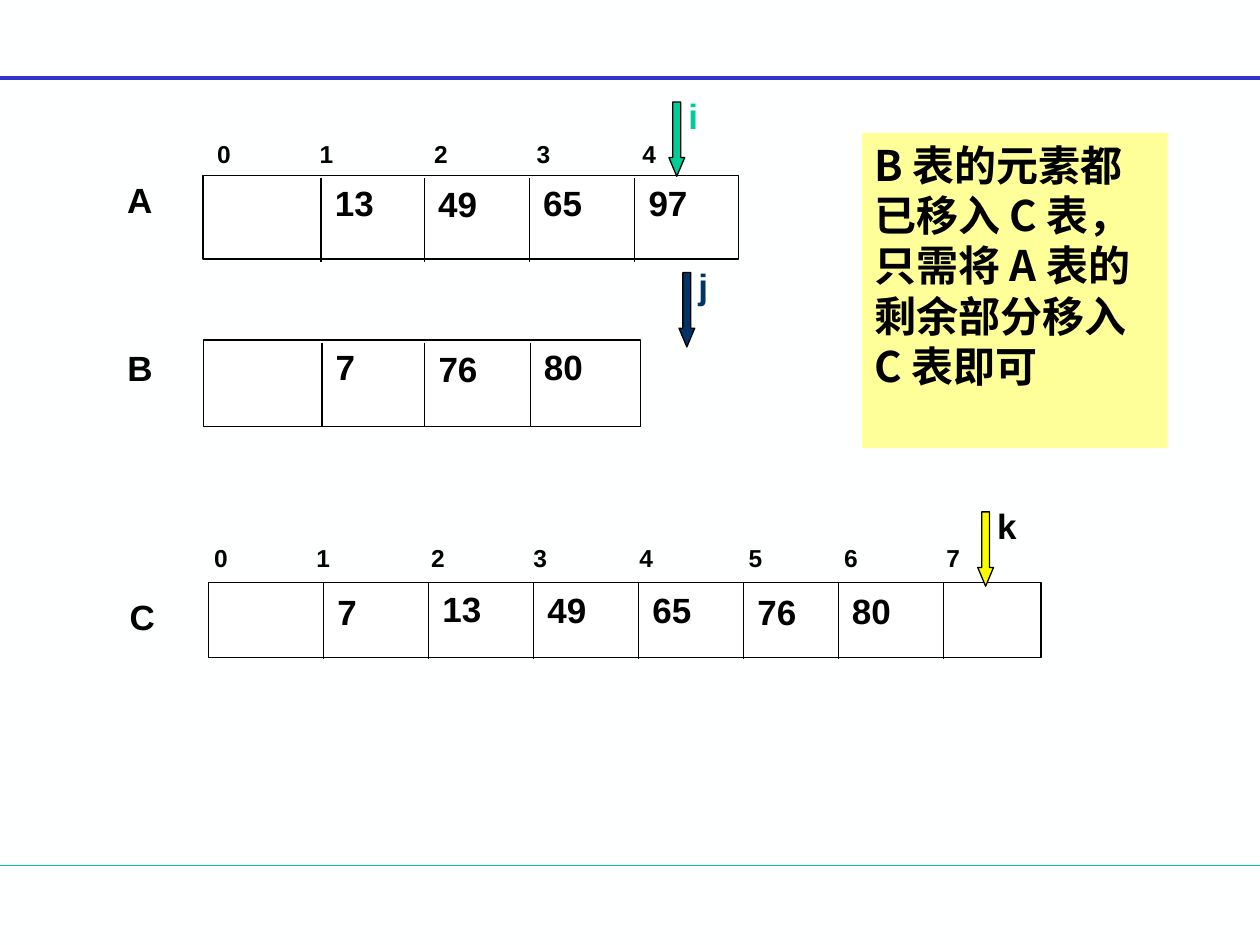
from lxml import etree
from pptx import Presentation
from pptx.dml.color import RGBColor
from pptx.enum import shapes, text
from pptx.oxml.ns import qn
from pptx.util import Pt

BLACK = RGBColor(0, 0, 0)
WHITE = RGBColor(0xFF, 0xFF, 0xFF)
BACKGROUND = RGBColor(0xFE, 0xFF, 0xFF)
GREEN = RGBColor(0x00, 0xCC, 0x99)
BLUE = RGBColor(0x33, 0x33, 0xCC)
NAVY = RGBColor(0x00, 0x33, 0x66)
YELLOW = RGBColor(0xFA, 0xFD, 0x00)
PALE_YELLOW = RGBColor(0xFF, 0xFF, 0x99)

deck = Presentation()
deck.slide_width, deck.slide_height = Pt(720), Pt(540)
page = deck.slides.add_slide(deck.slide_layouts[6])
page.background.fill.solid()
page.background.fill.fore_color.rgb = BACKGROUND


def add_line(x1, y1, x2, y2, color=BLACK, width=0.75):
    line = page.shapes.add_connector(
        shapes.MSO_CONNECTOR.STRAIGHT, Pt(x1), Pt(y1), Pt(x2), Pt(y2))
    line.line.color.rgb = color
    line.line.width = Pt(width)
    etree.SubElement(line._element.spPr, qn("a:effectLst"))


def add_label(parent, words, left, top, width=48, height=32, size=20, color=BLACK):
    box = parent.add_textbox(Pt(left), Pt(top), Pt(width), Pt(height))
    box.text_frame.word_wrap = True
    para = box.text_frame.paragraphs[0]
    span = para.add_run()
    span.text = words
    span.font.name, span.font.size, span.font.bold = "Arial", Pt(size), True
    span.font.color.rgb = color
    return para


# Rules across the page
add_line(0, 494.5, 720, 494.5, GREEN)
add_line(0, 44.5, 720, 44.5, BLUE, 2.25)

# Arrays: name, name position, frame, divider span, cells as (divider, value, top)
arrays = [
    ("A", (65.5, 98.5), (116, 100.5, 306, 47.5), (101.5, 149.5),
     [(183.5, "13", 100), (242.5, "49", 101), (302.5, "65", 100), (362.75, "97", 100)]),
    ("B", (65.75, 194.25), (116.25, 194.25, 249.75, 49.5), (196, 243.5),
     [(184, "7", 194), (242.75, "76", 195), (303, "80", 194)]),
    ("C", (67, 337), (119, 332.75, 476, 43), (332.75, 376.5),
     [(185, "7", 334), (245, "13", 332), (305, "49", 333), (365, "65", 333),
      (425, "76", 334), (479, "80", 333.5), (539, "", 333)]),
]
for name, name_at, frame, (top, bottom), cells in arrays:
    strip = page.shapes.add_shape(
        shapes.MSO_SHAPE.RECTANGLE, *[Pt(length) for length in frame])
    strip.shadow.inherit = False
    strip.fill.solid()
    strip.fill.fore_color.rgb = WHITE
    strip.line.color.rgb = BLACK
    strip.line.width = Pt(0.75)
    add_label(page.shapes, name, *name_at)
    for divider, value, value_top in cells:
        add_line(divider, top, divider, bottom)
        if value:
            add_label(page.shapes, value, divider + 0.75, value_top)

# Index numbers, set on tab stops
index_stops = [58.5, 124, 182.5, 243, 305.5, 360, 418.5]
for left, top, width, last in [(117, 75.75, 306, 4), (115.25, 307, 480, 7)]:
    numbers = "\t".join(str(index) for index in range(last + 1))
    para = add_label(page.shapes, numbers, left, top, width, 24.5, 14)
    tabs = etree.SubElement(para._p.get_or_add_pPr(), qn("a:tabLst"))
    for stop in index_stops[:last]:
        etree.SubElement(tabs, qn("a:tab"), pos=str(Pt(stop)), algn="l")

# Pointers: letter, arrow left and top, arrow colour, letter colour
pointers = [
    ("i", 382.25, 58.25, GREEN, GREEN),
    ("j", 388, 155.75, NAVY, NAVY),
    ("k", 558.75, 292.5, YELLOW, BLACK),
]
for letter, left, top, arrow_color, letter_color in pointers:
    pointer = page.shapes.add_group_shape()
    arrow = pointer.shapes.add_shape(
        shapes.MSO_SHAPE.DOWN_ARROW, Pt(left), Pt(top), Pt(9), Pt(42.5))
    arrow.adjustments[0], arrow.adjustments[1] = 0.5, 1.19
    arrow.shadow.inherit = False
    arrow.fill.solid()
    arrow.fill.fore_color.rgb = arrow_color
    arrow.line.color.rgb = BLACK
    arrow.line.width = Pt(0.75)
    add_label(pointer.shapes, letter, left + 4, top - 8, 38, color=letter_color)

# Note
note = page.shapes.add_shape(
    shapes.MSO_SHAPE.RECTANGLE, Pt(492.5), Pt(76), Pt(174.75), Pt(180))
note.shadow.inherit = False
note.fill.solid()
note.fill.fore_color.rgb = PALE_YELLOW
note.line.fill.background()
note.text_frame.word_wrap = True
note.text_frame.vertical_anchor = text.MSO_ANCHOR.TOP
para = note.text_frame.paragraphs[0]
para.alignment = text.PP_ALIGN.LEFT
para.line_spacing = Pt(28.8)
span = para.add_run()
span.text = "B 表的元素都已移入 C 表，只需将 A 表的剩余部分移入 C 表即可"
span.font.name, span.font.size, span.font.bold = "Noto Sans CJK SC", Pt(24), True
span.font.color.rgb = BLACK
etree.SubElement(span._r.get_or_add_rPr(), qn("a:ea"), typeface="Noto Sans CJK SC")

deck.save("out.pptx")
